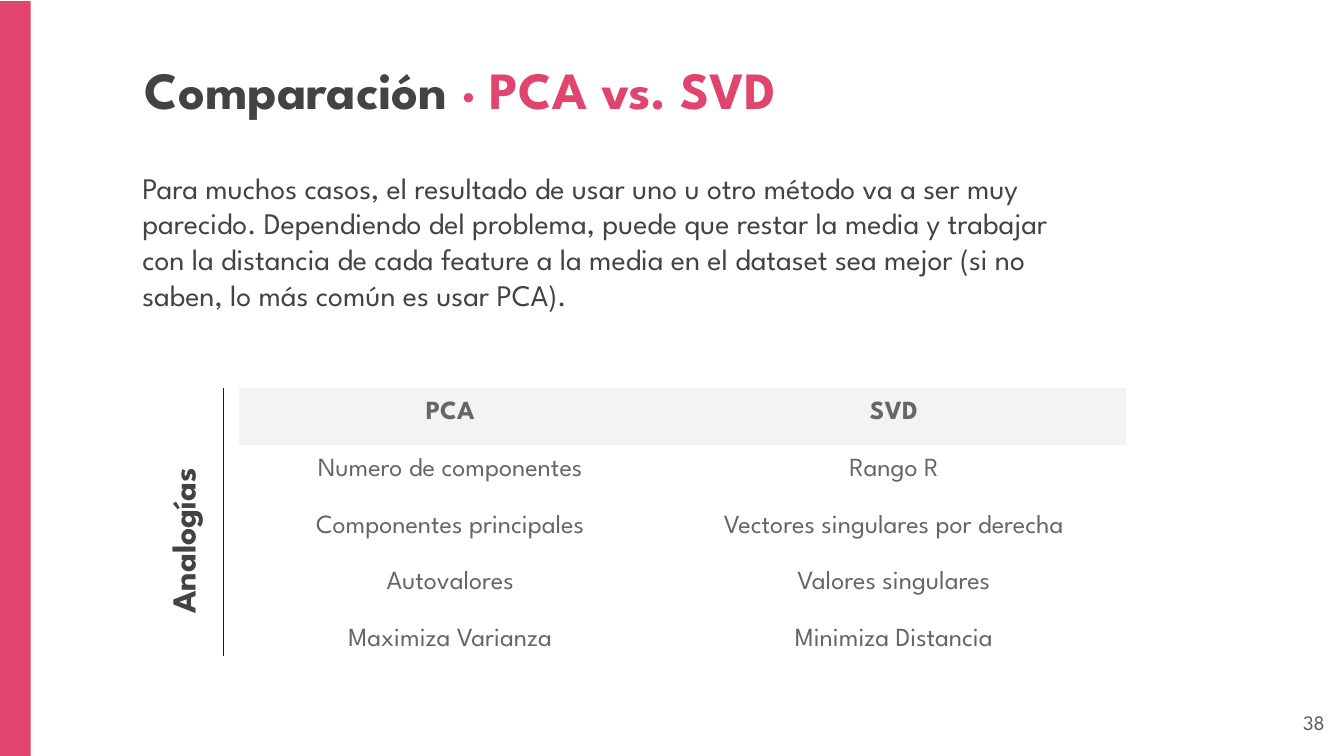
from dataclasses import dataclass

import pptx
import pptx.dml.color
import pptx.enum.shapes
import pptx.enum.text
import pptx.oxml.ns
import pptx.util
from lxml import etree
from pptx.dml.color import RGBColor
from pptx.enum.text import PP_ALIGN
from pptx.util import Cm

PINK = RGBColor(0xE1, 0x44, 0x6D)
CHARCOAL = RGBColor(0x43, 0x43, 0x43)
NUMBER_GRAY = RGBColor(0x59, 0x59, 0x59)
TABLE_GRAY = RGBColor(0x66, 0x66, 0x66)
HEADER_FILL = RGBColor(0xF3, 0xF3, 0xF3)
RULE_BLACK = RGBColor(0x1A, 0x1A, 0x1A)
FONT = "League Spartan"
NO_TABLE_STYLE = "{2D5ABB26-0587-4C30-8999-92F81FD0307C}"


@dataclass(frozen=True)
class Run:
    text: str
    size: int
    color: RGBColor
    bold: bool = False


@dataclass(frozen=True)
class TextArea:
    left: float
    top: float
    width: float
    height: float
    runs: tuple[Run, ...]
    align: PP_ALIGN = PP_ALIGN.LEFT
    rotation: int = 0


TITLE = TextArea(2.49, 0.84, 20.37, 1.63, (
    Run("Comparación", 28, CHARCOAL, True),
    Run(" · PCA vs. SVD", 28, PINK, True),
))
SUMMARY = TextArea(2.44, 2.95, 17.93, 2.41, (
    Run("Para muchos casos, el resultado de usar uno u otro método va a ser muy "
        "parecido. Dependiendo del problema, puede que restar la media y trabajar "
        "con la distancia de cada feature a la media en el dataset sea mejor (si no "
        "saben, lo más común es usar PCA).", 16, CHARCOAL),
))
PAGE_NUMBER = TextArea(23.77, 13.18, 1.52, 1.09,
                       (Run("38", 11, NUMBER_GRAY),), PP_ALIGN.RIGHT)
ANALOGIES_LABEL = TextArea(1.19, 9.68, 4.34, 1.09,
                           (Run("Analogías", 18, CHARCOAL, True),), PP_ALIGN.CENTER, 270)

ANALOGIES = (
    ("PCA", "SVD"),
    ("Numero de componentes", "Rango R"),
    ("Componentes principales", "Vectores singulares por derecha"),
    ("Autovalores", "Valores singulares"),
    ("Maximiza Varianza", "Minimiza Distancia"),
)
TABLE_LEFT, TABLE_TOP = 4.52, 7.34
COLUMN_WIDTHS = (7.98, 8.79)
ROW_HEIGHT = 1.07


def write_runs(paragraph, runs: tuple[Run, ...], align: PP_ALIGN) -> None:
    paragraph.alignment = align
    for run in runs:
        written = paragraph.add_run()
        written.text = run.text
        written.font.name = FONT
        written.font.size = pptx.util.Pt(run.size)
        written.font.bold = run.bold
        written.font.color.rgb = run.color


def fill_area(shape, area: TextArea) -> None:
    shape.left, shape.top = Cm(area.left), Cm(area.top)
    shape.width, shape.height = Cm(area.width), Cm(area.height)
    shape.rotation = area.rotation
    frame = shape.text_frame
    frame.word_wrap = True
    frame.auto_size = pptx.enum.text.MSO_AUTO_SIZE.NONE
    frame.vertical_anchor = pptx.enum.text.MSO_ANCHOR.TOP
    frame.margin_left = frame.margin_right = Cm(0.25)
    frame.margin_top = frame.margin_bottom = Cm(0.25)
    write_runs(frame.paragraphs[0], area.runs, area.align)


def add_text(slide, area: TextArea) -> None:
    fill_area(slide.shapes.add_textbox(0, 0, 0, 0), area)


def add_summary(slide) -> None:
    body = slide.placeholders[1]
    paragraph = body.text_frame.paragraphs[0]
    properties = paragraph._p.get_or_add_pPr()
    properties.set("marL", "0")
    properties.set("indent", "0")
    etree.SubElement(properties, pptx.oxml.ns.qn("a:buNone"))
    paragraph.space_before = pptx.util.Pt(0)
    fill_area(body, SUMMARY)


def add_side_bar(slide) -> None:
    bar = slide.shapes.add_shape(pptx.enum.shapes.MSO_SHAPE.RECTANGLE,
                                 0, Cm(0.02), Cm(0.58), Cm(14.27))
    bar.shadow.inherit = False
    bar.fill.solid()
    bar.fill.fore_color.rgb = PINK
    bar.line.fill.background()


def add_analogies(slide) -> None:
    frame = slide.shapes.add_table(
        len(ANALOGIES), len(COLUMN_WIDTHS), Cm(TABLE_LEFT), Cm(TABLE_TOP),
        Cm(sum(COLUMN_WIDTHS)), Cm(ROW_HEIGHT * len(ANALOGIES)))
    table = frame.table
    table.first_row = table.horz_banding = False
    table._tbl.tblPr.find(pptx.oxml.ns.qn("a:tableStyleId")).text = NO_TABLE_STYLE
    for column, width in zip(table.columns, COLUMN_WIDTHS):
        column.width = Cm(width)
    for row_index, terms in enumerate(ANALOGIES):
        is_header = row_index == 0
        table.rows[row_index].height = Cm(ROW_HEIGHT)
        for column_index, term in enumerate(terms):
            cell = table.cell(row_index, column_index)
            cell.margin_left = cell.margin_right = Cm(0.18)
            cell.margin_top = cell.margin_bottom = Cm(0.18)
            if is_header:
                cell.fill.solid()
                cell.fill.fore_color.rgb = HEADER_FILL
            else:
                cell.fill.background()
            paragraph = cell.text_frame.paragraphs[0]
            paragraph.line_spacing = 1.15
            write_runs(paragraph, (Run(term, 14, TABLE_GRAY, is_header),), PP_ALIGN.CENTER)


def add_rule(slide) -> None:
    rule = slide.shapes.add_connector(pptx.enum.shapes.MSO_CONNECTOR.STRAIGHT,
                                      Cm(4.22), Cm(TABLE_TOP), Cm(4.22), Cm(12.4))
    rule.line.color.rgb = RULE_BLACK
    rule.line.width = pptx.util.Pt(0.75)
    etree.SubElement(rule._element.spPr, pptx.oxml.ns.qn("a:effectLst"))


def main() -> None:
    presentation = pptx.Presentation()
    presentation.slide_width, presentation.slide_height = Cm(25.4), Cm(14.29)
    slide = presentation.slides.add_slide(presentation.slide_layouts[1])
    add_side_bar(slide)
    add_text(slide, PAGE_NUMBER)
    add_summary(slide)
    fill_area(slide.shapes.title, TITLE)
    add_analogies(slide)
    add_rule(slide)
    add_text(slide, ANALOGIES_LABEL)
    presentation.save("out.pptx")


if __name__ == "__main__":
    main()
